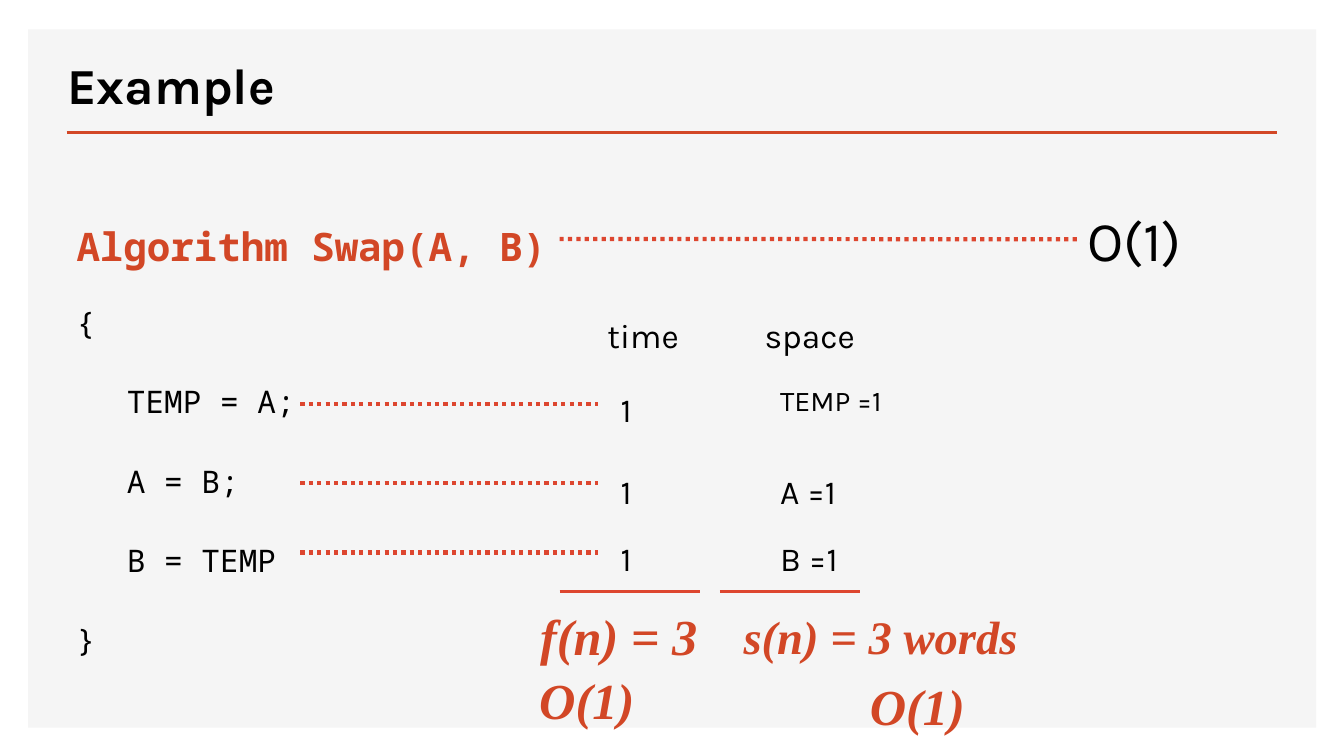
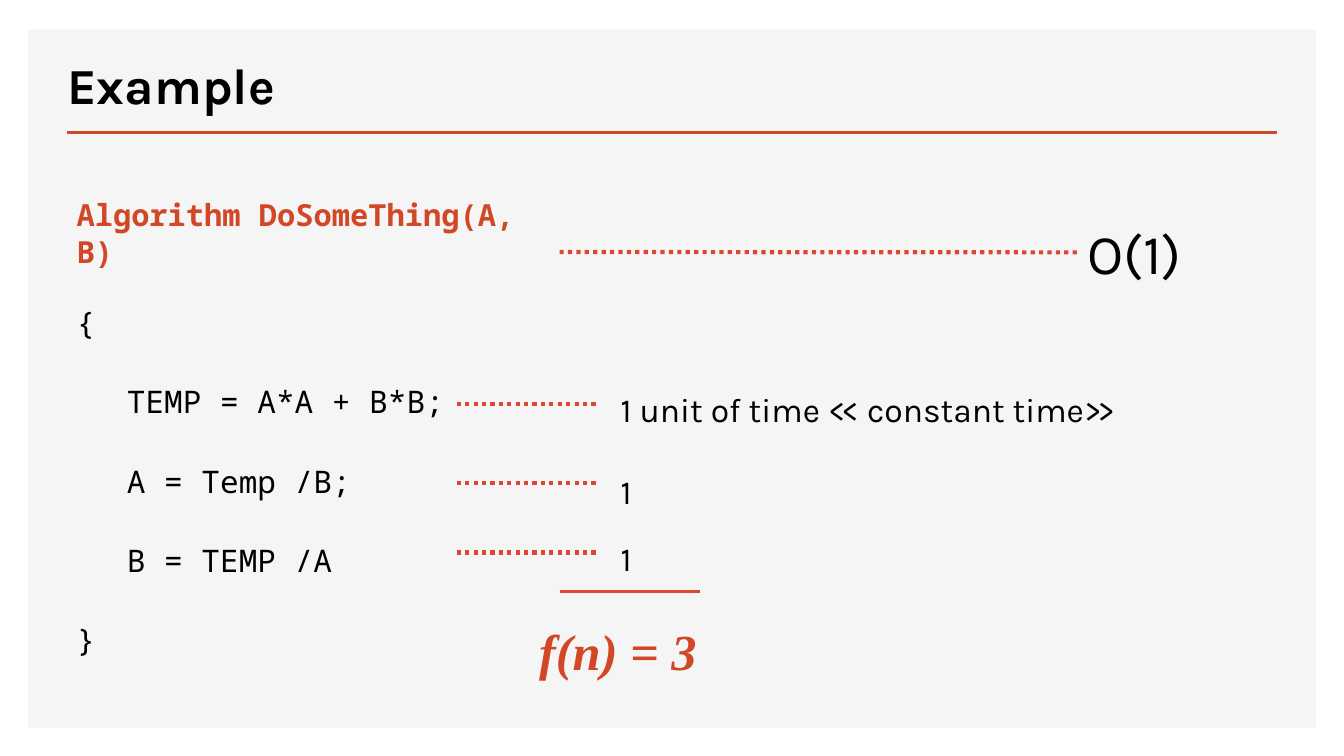
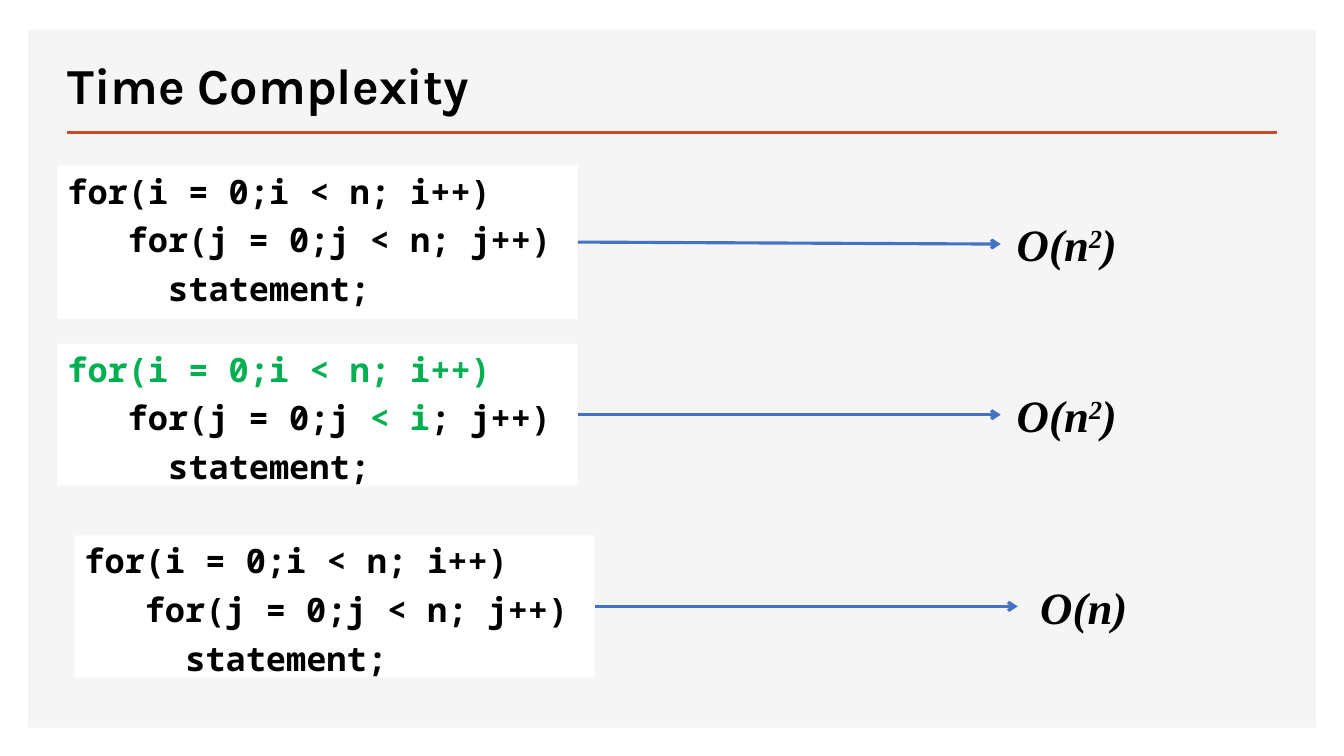
import dataclasses
import typing

import lxml.etree
import pptx
import pptx.dml.color
import pptx.enum.dml
import pptx.enum.shapes
import pptx.enum.text
import pptx.oxml.ns
import pptx.util

Cm = pptx.util.Cm
Pt = pptx.util.Pt
Anchor = pptx.enum.text.MSO_ANCHOR
Align = pptx.enum.text.PP_ALIGN
Dash = pptx.enum.dml.MSO_LINE
qn = pptx.oxml.ns.qn

HUES = {
    "black": "000000",
    "white": "FFFFFF",
    "panel": "F5F5F5",
    "brand": "D24726",
    "mark": "DD462F",
    "green": "00B050",
    "blue": "4472C4",
}


class Box(typing.NamedTuple):
    """Left, top, width and height in centimetres."""
    left: float
    top: float
    width: float
    height: float


class Span(typing.NamedTuple):
    text: str
    hue: str = ""
    raised: bool = False
    gap: int = 0  # letter spacing in points


class Para(typing.NamedTuple):
    spans: tuple[Span, ...]
    indent: float = 0


@dataclasses.dataclass(frozen=True)
class Style:
    face: str
    size: float
    hue: str = "black"
    bold: bool = False
    slant: bool = False
    lead: float = 1
    before: float = 0
    after: float = 0
    anchor: Anchor = Anchor.TOP
    align: Align = Align.LEFT


@dataclasses.dataclass(frozen=True)
class Block:
    """A piece of code and its order of growth."""
    code: Box
    lines: tuple[Para, ...]
    top: float
    order: Para


TITLE = Style("Karla", 36, bold=True, anchor=Anchor.BOTTOM)
HEAD = Style("Noto Sans Mono", 28, "brand", True, anchor=Anchor.BOTTOM)
CODE = Style("Noto Sans Mono", 22.2, lead=1.3, before=10, after=12)
COUNT = Style("Karla", 24, lead=1.5, before=10, after=12)
LABEL = Style("Karla", 24)
BIG = Style("Karla", 40)
SUM = Style("Times New Roman", 36, "brand", True, True, anchor=Anchor.BOTTOM)
LOOP = Style("Noto Sans Mono", 24, bold=True, after=6)
ORDER = Style("Times New Roman", 32, bold=True, slant=True,
              anchor=Anchor.MIDDLE, align=Align.CENTER)

ROWS = (9.17, 11.23, 12.93)
DOTS = (10.19, 12.17, 13.92)
SUM_Y = 14.91
TIME_X = 15.39
SPACE_X = 19.41
DOT_END = 15.06


def line(text: str, indent: float = 0) -> Para:
    return Para((Span(text),), indent)


def color(name: str) -> pptx.dml.color.RGBColor:
    return pptx.dml.color.RGBColor.from_string(HUES[name])


def write(slide, box: Box, style: Style, *paras: Para, fill: str = ""):
    """Add a text box and return it."""
    shape = slide.shapes.add_textbox(*map(Cm, box))
    if fill:
        shape.fill.solid()
        shape.fill.fore_color.rgb = color(fill)
    frame = shape.text_frame
    frame.word_wrap = True
    frame.vertical_anchor = style.anchor
    for index, para in enumerate(paras):
        item = frame.add_paragraph() if index else frame.paragraphs[0]
        item.alignment = style.align
        item.line_spacing = style.lead
        item.space_before = Pt(style.before)
        item.space_after = Pt(style.after)
        if para.indent:
            item._p.get_or_add_pPr().set("marL", str(Cm(para.indent)))
        font = item.font
        font.name = style.face
        font.size = Pt(style.size)
        font.bold = style.bold
        font.italic = style.slant
        font.color.rgb = color(style.hue)
        for span in para.spans:
            run = item.add_run()
            run.text = span.text
            if span.hue:
                run.font.color.rgb = color(span.hue)
            if span.raised:
                run._r.get_or_add_rPr().set("baseline", "30000")
            if span.gap:
                run._r.get_or_add_rPr().set("spc", str(span.gap * 100))
    return shape


def rule(slide, start: tuple[float, float], end: tuple[float, float],
         hue: str = "mark", width: float = 2.25, dots: bool = False):
    """Add a straight line and return it."""
    link = slide.shapes.add_connector(
        pptx.enum.shapes.MSO_CONNECTOR.STRAIGHT, *map(Cm, start + end))
    link.line.color.rgb = color(hue)
    link.line.width = Pt(width)
    if dots:
        link.line.dash_style = Dash.ROUND_DOT
    lxml.etree.SubElement(link._element.spPr, qn("a:effectLst"))
    return link


def start(deck, title: str):
    """Add a slide with the panel, the title and its rule."""
    slide = deck.slides.add_slide(deck.slide_layouts[6])
    panel = slide.shapes.add_shape(
        pptx.enum.shapes.MSO_SHAPE.RECTANGLE,
        *map(Cm, Box(0.71, 0.74, 32.46, 17.6)))
    panel.shadow.inherit = False
    panel.fill.solid()
    panel.fill.fore_color.rgb = color("panel")
    panel.line.fill.background()
    rule(slide, (1.68, 3.33), (32.18, 3.33), "brand", 2)
    write(slide, Box(1.45, 1.24, 29.54, 1.78), TITLE, line(title))
    return slide


def trace(slide, name: str, size: float, steps: tuple[str, ...],
          left: float, top: float):
    """Draw an algorithm, its dotted leaders and its overall order."""
    head = write(slide, Box(1.68, 5.13, 12.42, 1.78),
                 dataclasses.replace(HEAD, size=size), line(name))
    body = [line(step, 1.27) for step in steps]
    write(slide, Box(1.68, 7.24, 12.42, 9.73), CODE,
          line("{"), *body, line("}"))
    for y in DOTS:
        rule(slide, (left, y), (DOT_END, y), width=3, dots=True)
    rule(slide, (14.1, SUM_Y), (17.63, SUM_Y))
    total = write(slide, Box(27.15, top, 3.84, 1.96), BIG, line("O(1)"))
    y = top + 0.97
    link = rule(slide, (14.1, y), (27.15, y), width=3, dots=True)
    link.end_connect(total, 1)
    return head, link


def count(slide, left: float, width: float, *paras: Para):
    """Write one cost beside each step."""
    for top, para in zip(ROWS, paras):
        write(slide, Box(left, top, width, 1.75), COUNT, para)


def swap(deck):
    slide = start(deck, "Example")
    head, link = trace(slide, "Algorithm Swap(A, B)", 28,
                       ("TEMP = A;", "A = B;", "B = TEMP"), 7.57, 5.05)
    link.begin_connect(head, 3)
    write(slide, Box(15.06, 7.82, 2.95, 1.27), LABEL, line("time"))
    write(slide, Box(19.02, 7.8, 3.4, 1.27), LABEL, line("space"))
    count(slide, TIME_X, 1.55, *[line("1")] * 3)
    write(slide, Box(SPACE_X, ROWS[0], 3.45, 1.75),
          dataclasses.replace(COUNT, size=20.4, lead=1.4), line("TEMP =1"))
    for top, text in zip(ROWS[1:], ("A =1", "B =1")):
        write(slide, Box(SPACE_X, top, 3.02, 1.75), COUNT, line(text))
    rule(slide, (18.14, SUM_Y), (21.67, SUM_Y))
    write(slide, Box(13.36, 15.11, 5.44, 1.78), SUM, line("f(n) = 3"))
    write(slide, Box(18.49, 14.88, 7.82, 1.98),
          dataclasses.replace(SUM, size=33.3), line("s(n) = 3 words"))
    for left, top in ((13.34, 16.74), (21.67, 16.87)):
        write(slide, Box(left, top, 3.4, 1.78), SUM, line("O(1)"))


def divide(deck):
    slide = start(deck, "Example")
    trace(slide, "Algorithm DoSomeThing(A, B)", 21.7,
          ("TEMP = A*A + B*B;", "A = Temp /B;", "B = TEMP /A"), 11.51, 5.38)
    unit = Para((Span("1 unit of time "), Span("<<", gap=-3),
                 Span(" constant time"), Span(">>", gap=-3)))
    count(slide, TIME_X, 14.27, unit, line("1"), line("1"))
    write(slide, Box(13.34, 15.49, 5.44, 1.78), SUM, line("f(n) = 3"))


def loops(deck):
    slide = start(deck, "Time Complexity")
    outer = line("for(i = 0;i < n; i++)")
    inner = line("for(j = 0;j < n; j++)", 1.52)
    last = line("statement;", 2.54)
    green = Para((Span("for(i = 0;i < n; i++)", "green"),))
    mixed = Para((Span("for(j = 0;j "), Span("< i", "green"),
                  Span("; j++)")), 1.52)
    square = Para((Span("O(n"), Span("2", raised=True), Span(")")))
    blocks = (
        Block(Box(1.45, 4.17, 13.11, 3.86), (outer, inner, last),
              5.26, square),
        Block(Box(1.45, 8.66, 13.11, 3.58), (green, mixed, last),
              9.56, square),
        Block(Box(1.88, 13.49, 13.11, 3.58), (outer, inner, last),
              14.39, line("O(n)")),
    )
    for block in blocks:
        code = write(slide, block.code, LOOP, *block.lines, fill="white")
        left = block.code.left + 23.77
        order = write(slide, Box(left, block.top, 3.33, 1.78),
                      ORDER, block.order)
        link = rule(slide, (0, 0), (1, 1), "blue")
        link.begin_connect(code, 3)
        link.end_connect(order, 1)
        lxml.etree.SubElement(link.line._get_or_add_ln(), qn("a:tailEnd"),
                              type="arrow")


def main():
    deck = pptx.Presentation()
    deck.slide_width = Cm(33.87)
    deck.slide_height = Cm(19.05)
    swap(deck)
    divide(deck)
    loops(deck)
    deck.save("out.pptx")


if __name__ == "__main__":
    main()
